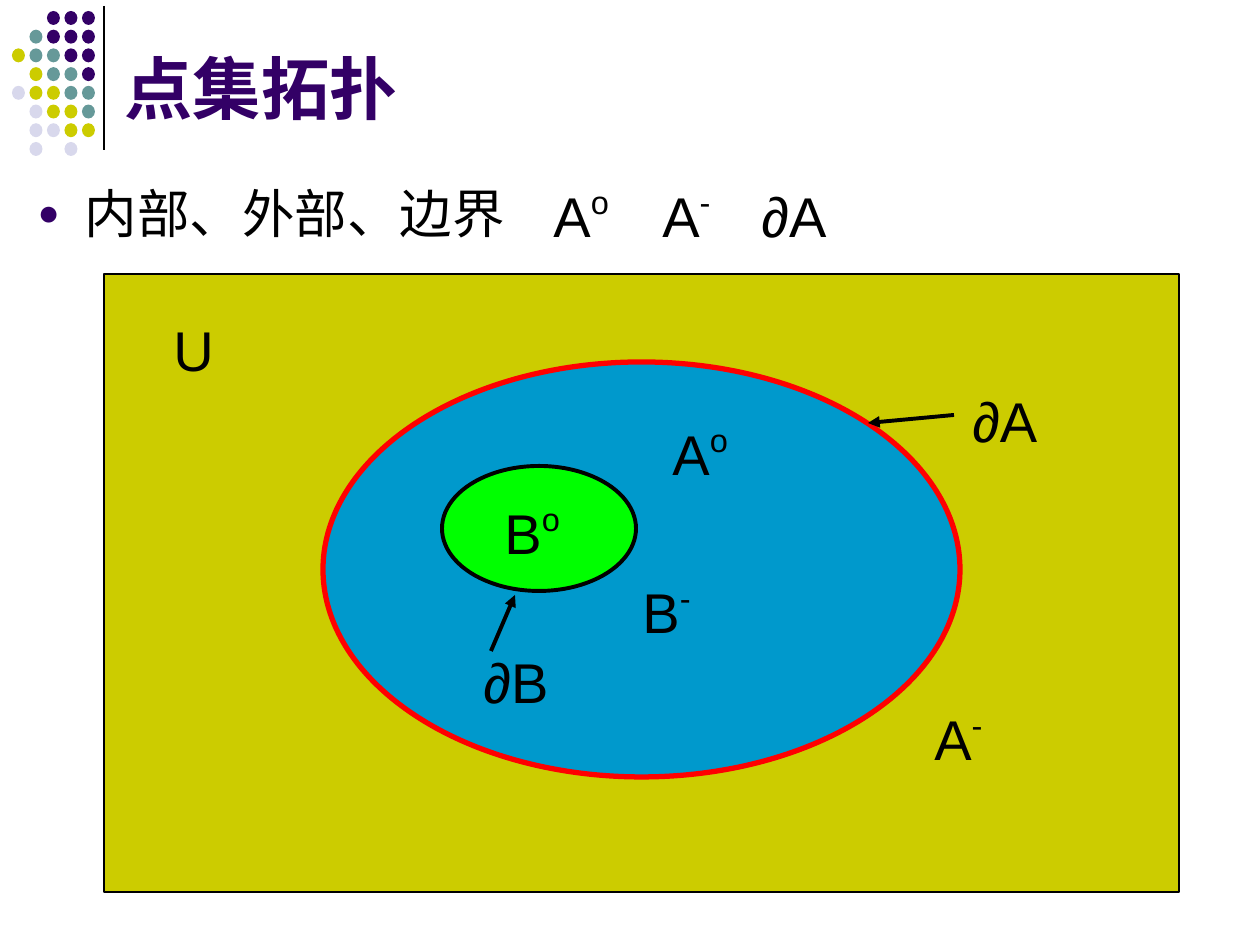
from pptx import Presentation
from pptx.dml.color import RGBColor
from pptx.enum.shapes import MSO_CONNECTOR, MSO_SHAPE
from pptx.enum.text import MSO_ANCHOR, MSO_AUTO_SIZE, PP_ALIGN
from pptx.oxml.ns import qn
from pptx.util import Pt
from lxml import etree

OVAL, RECT = MSO_SHAPE.OVAL, MSO_SHAPE.RECTANGLE
STRAIGHT = MSO_CONNECTOR.STRAIGHT
LEFT, TOP, BOTTOM = PP_ALIGN.LEFT, MSO_ANCHOR.TOP, MSO_ANCHOR.BOTTOM
NO_FIT, GROW = MSO_AUTO_SIZE.NONE, MSO_AUTO_SIZE.SHAPE_TO_FIT_TEXT

PX = 914400 / 126
FONT, BLACK, PURPLE = "Arial", "000000", "330066"

TITLE = "点集拓扑"
BULLET = "内部、外部、边界"
DOT_COLORS = {"P": PURPLE, "T": "669999", "Y": "CCCC00", "L": "D8D8EC"}
DOT_ROWS = ["  PPP", " TPPP", "YTTPP", " YTTP", "LYYTT", " LYYT", " LLYY", " L L "]
SETS = [
    (RECT, (104, 274, 1075, 618), "CCCC00", BLACK, 0.75),
    (OVAL, (323, 362, 637, 415), "0099CC", "FF0000", 3),
    (OVAL, (442, 466, 194, 125), "00FF00", BLACK, 2.25),
]
ARROWS = [((954, 415), (868, 423)), ((491, 651), (515, 595))]
LABELS = [
    ("A", "o", 660, 413, 83), ("∂A", "", 960, 380, 91),
    ("B", "o", 492, 492, 83), ("∂B", "", 471, 641, 91),
    ("A", "-", 922, 698, 76), ("B", "-", 630, 571, 76),
    ("U", "", 161, 309, 66), ("A", "o", 541, 175, 83),
    ("A", "-", 650, 175, 76), ("∂A", "", 749, 175, 91),
]


def emu(*values):
    return [round(v * PX) for v in values]


def rgb(color):
    return RGBColor.from_string(color)


def add_run(p, text, size, color=BLACK, bold=False):
    r = p.add_run()
    r.text = text
    r.font.name, r.font.size, r.font.bold = FONT, Pt(size), bold
    r.font.color.rgb = rgb(color)
    return r


def fill_placeholder(sp, box, anchor, text, size, color, bold=False):
    sp.left, sp.top, sp.width, sp.height = emu(*box)
    tf = sp.text_frame
    tf.auto_size, tf.vertical_anchor = NO_FIT, anchor
    p = tf.paragraphs[0]
    p.alignment = LEFT
    add_run(p, text, size, color, bold)
    return p


def add_bullet(p, char, color, percent):
    pPr = p._p.get_or_add_pPr()
    pPr.set("marL", "342900")
    pPr.set("indent", "-342900")
    clr = etree.SubElement(pPr, qn("a:buClr"))
    etree.SubElement(clr, qn("a:srgbClr"), val=color)
    etree.SubElement(pPr, qn("a:buSzPct"), val=str(percent * 1000))
    etree.SubElement(pPr, qn("a:buFont"), typeface=FONT)
    etree.SubElement(pPr, qn("a:buChar"), char=char)


def add_filled(s, kind, box, fill, line=None, width=0):
    sp = s.shapes.add_shape(kind, *emu(*box))
    sp.shadow.inherit = False
    sp.fill.solid()
    sp.fill.fore_color.rgb = rgb(fill)
    if line:
        sp.line.color.rgb = rgb(line)
        sp.line.width = Pt(width)
    else:
        sp.line.fill.background()


def add_line(s, start, end, width, arrow=False):
    cx = s.shapes.add_connector(STRAIGHT, *emu(*start, *end))
    cx.line.color.rgb = rgb(BLACK)
    cx.line.width = Pt(width)
    if arrow:
        etree.SubElement(cx.line._get_or_add_ln(), qn("a:tailEnd"), type="triangle")
    etree.SubElement(cx._element.spPr, qn("a:effectLst"))


def add_label(s, base, superscript, x, y, width):
    tf = s.shapes.add_textbox(*emu(x, y, width, 79)).text_frame
    tf.word_wrap, tf.auto_size, tf.vertical_anchor = False, GROW, TOP
    p = tf.paragraphs[0]
    add_run(p, base, 32)
    if superscript:
        r = add_run(p, superscript, 32)
        r._r.get_or_add_rPr().set("baseline", "40000")


def main():
    prs = Presentation()
    prs.slide_width, prs.slide_height = emu(1260, 945)
    s = prs.slides.add_slide(prs.slide_layouts[1])

    add_line(s, (104, 6), (104, 150), 0.75)
    for row, dots in enumerate(DOT_ROWS):
        for col, key in enumerate(dots):
            if key in DOT_COLORS:
                box = (12 + 70 * col / 4, 11 + 131 * row / 7, 13, 14)
                add_filled(s, OVAL, box, DOT_COLORS[key])

    fill_placeholder(s.shapes.title, (112, 16, 1063, 118), BOTTOM, TITLE, 39, PURPLE, True)
    p = fill_placeholder(s.placeholders[1], (25, 175, 1211, 745), TOP, BULLET, 30, BLACK)
    p.space_before = Pt(6)
    add_bullet(p, "●", PURPLE, 70)

    for item in SETS:
        add_filled(s, *item)
    for start, end in ARROWS:
        add_line(s, start, end, 2.25, arrow=True)
    for label in LABELS:
        add_label(s, *label)

    prs.save("out.pptx")


if __name__ == "__main__":
    main()
